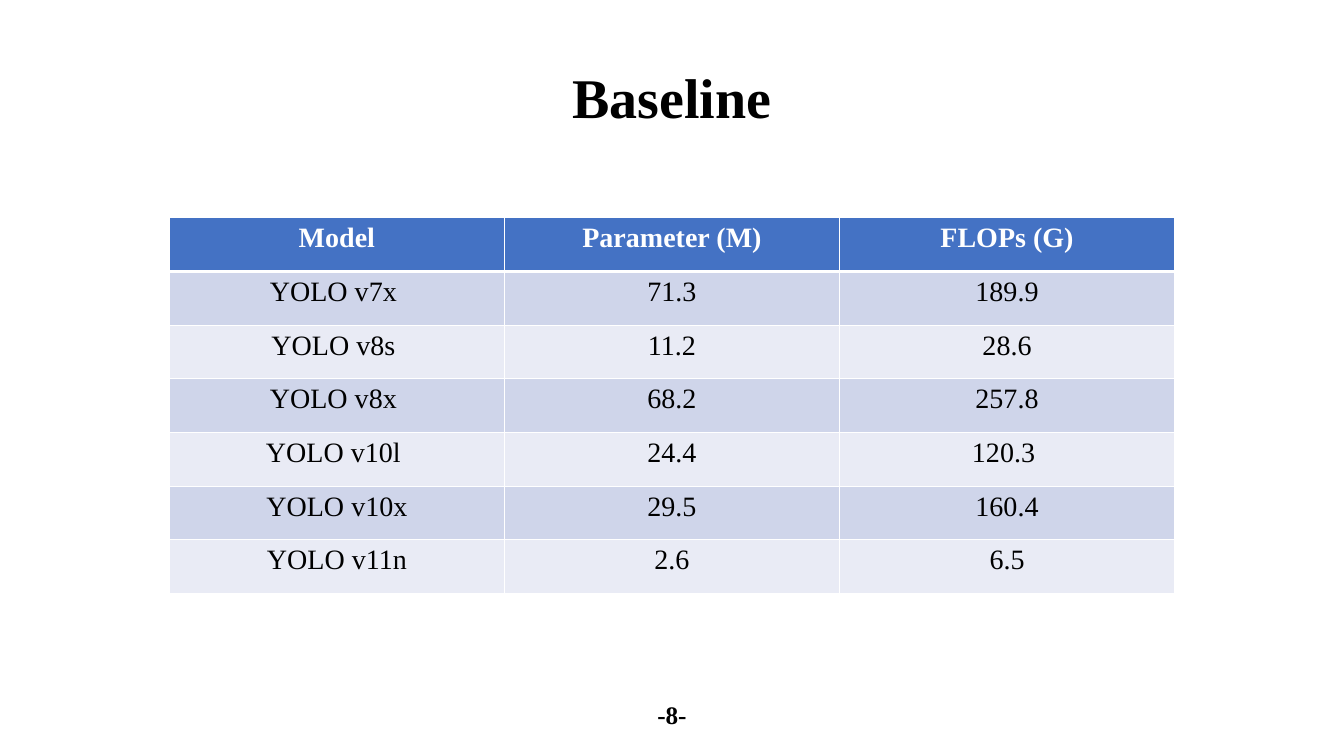
import pptx
import pptx.util
import pptx.dml.color
import pptx.enum.text
import pptx.oxml
import pptx.oxml.ns

Inches, Pt = pptx.util.Inches, pptx.util.Pt
CENTER = pptx.enum.text.PP_ALIGN.CENTER
WHITE, BLACK = "FFFFFF", "000000"


def color(value):
    return pptx.dml.color.RGBColor.from_string(value)


def write(tf, text, size, ink, bold):
    tf.text = text
    p = tf.paragraphs[0]
    p.alignment = CENTER
    font = p.runs[0].font
    font.name = "Times New Roman"
    font.size = Pt(size)
    font.bold = bold
    font.color.rgb = color(ink)


prs = pptx.Presentation()
prs.slide_width, prs.slide_height = Inches(13.33), Inches(7.5)
s = prs.slides.add_slide(prs.slide_layouts[6])

rows = [
    ("Model", "Parameter (M)", "FLOPs (G)"),
    ("YOLO v7x ", "71.3", "189.9"),
    ("YOLO v8s ", "11.2", "28.6"),
    ("YOLO v8x ", "68.2", "257.8"),
    ("YOLO v10l ", "24.4", "120.3 "),
    ("YOLO v10x", "29.5", "160.4"),
    ("YOLO v11n", "2.6", "6.5"),
]
table_width, table_height = Inches(9.97), Inches(3.73)
table = s.shapes.add_table(
    len(rows), len(rows[0]), (prs.slide_width - table_width) // 2, Inches(2.16),
    table_width, table_height).table

for i, row in enumerate(rows):
    header = i == 0
    fill = "4472C4" if header else ("E9EBF5", "CFD5EA")[i % 2]
    for j, text in enumerate(row):
        cell = table.cell(i, j)
        write(cell.text_frame, text, 20, WHITE if header else BLACK, header)
        tcPr = cell._tc.get_or_add_tcPr()
        for side in "LRTB":
            thick = (header and side == "B") or (i == 1 and side == "T")
            tcPr.append(pptx.oxml.parse_xml(
                f'<a:ln{side} {pptx.oxml.ns.nsdecls("a")} w="{Pt(3 if thick else 1)}">'
                f'<a:solidFill><a:srgbClr val="{WHITE}"/></a:solidFill></a:ln{side}>'))
        cell.fill.solid()
        cell.fill.fore_color.rgb = color(fill)

labels = [
    ("-8-", 18, 6.89, 0.5, 0.4),
    ("Baseline", 40, 0.57, 2.2, 0.77),
]
for text, size, top, width, height in labels:
    left = (prs.slide_width - Inches(width)) // 2
    sp = s.shapes.add_textbox(left, Inches(top), Inches(width), Inches(height))
    tf = sp.text_frame
    tf.word_wrap = False
    tf.auto_size = pptx.enum.text.MSO_AUTO_SIZE.SHAPE_TO_FIT_TEXT
    write(tf, text, size, BLACK, True)

prs.save("out.pptx")
